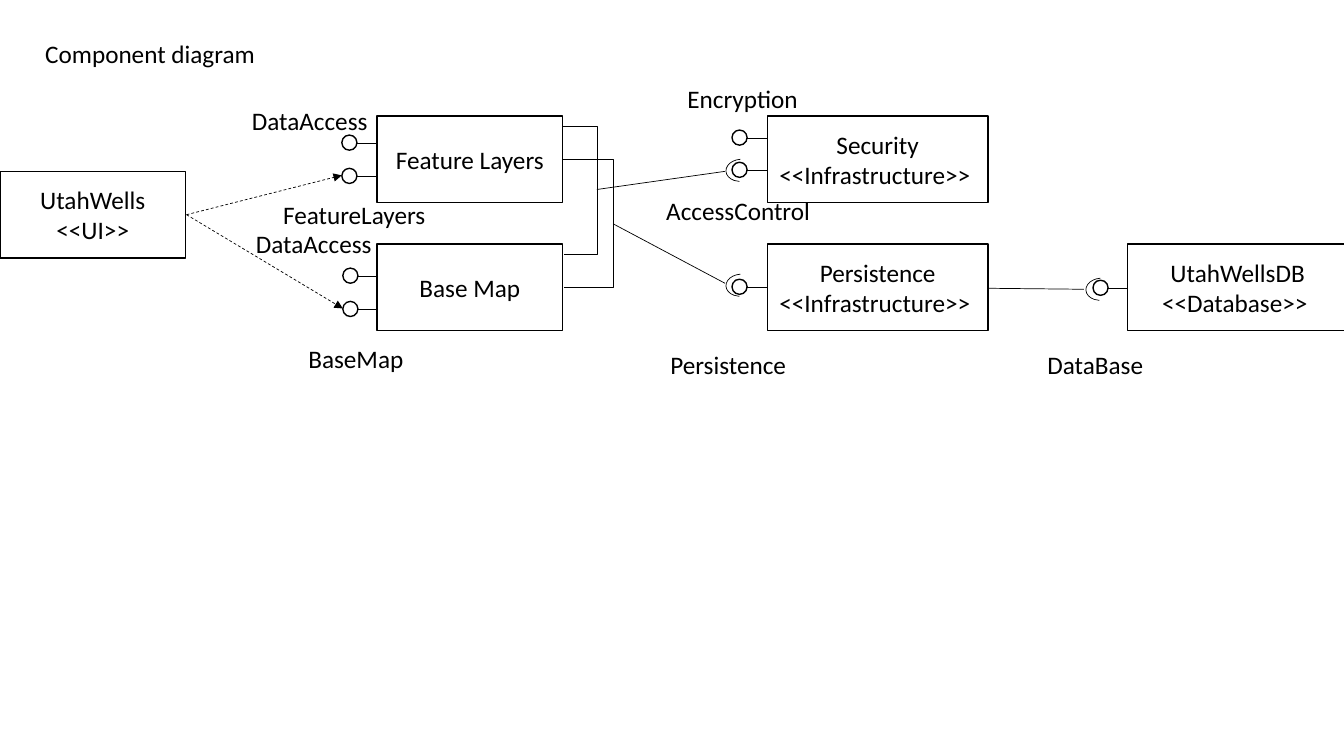
from lxml.etree import SubElement
from pptx import Presentation
from pptx.dml.color import RGBColor
from pptx.enum.dml import MSO_LINE as Dash
from pptx.enum.shapes import MSO_CONNECTOR as Link, MSO_SHAPE as Kind
from pptx.enum.text import MSO_ANCHOR as Anchor, MSO_AUTO_SIZE as Auto, PP_ALIGN as Align
from pptx.oxml.ns import qn
from pptx.util import Pt

SCALE = 9144
INK = "000000"
FONT = {"name": "Calibri", "size": Pt(18)}
BOX = {"word_wrap": True, "vertical_anchor": Anchor.MIDDLE}
LABEL = {"word_wrap": False, "auto_size": Auto.SHAPE_TO_FIT_TEXT}
ROW_TOP, ROW_LOW = 115, 242

BOXES = [
    ("UtahWells\n<<UI>>", 0, 170, 184),
    ("Feature Layers", 374, ROW_TOP, 184),
    ("Base Map", 374, ROW_LOW, 184),
    ("Security\n<<Infrastructure>> ", 761, ROW_TOP, 219),
    ("Persistence\n<<Infrastructure>> ", 761, ROW_LOW, 219),
    ("UtahWellsDB\n<<Database>> ", 1118, ROW_LOW, 219),
]
PORTS = [
    (339, 142), (339, 175), (340, 274), (340, 307),
    (726, 137), (726, 169), (726, 285), (1084, 286),
]
LABELS = [
    ("Component diagram", 35, 33, 231),
    ("DataAccess", 240, 100, 136),
    ("DataAccess", 244, 222, 136),
    ("FeatureLayers", 271, 193, 163),
    ("BaseMap", 296, 336, 115),
    ("Encryption", 672, 78, 136),
    ("AccessControl", 651, 189, 164),
    ("Persistence", 655, 342, 136),
    ("DataBase", 1029, 342, 116),
]
USES = [(185, 213, 339, 174), (185, 213, 340, 306)]
WIRES = [(719, 281, 608, 222), (592, 188, 719, 170), (1075, 287, 980, 286)]
BENDS = [(158, 51), (125, 35)]
SOCKETS = [(724, 154), (724, 268), (1081, 272)]


def px(*sizes):
    """Turn whole pixels into EMU."""
    return [size * SCALE for size in sizes]


def color(code):
    """Turn a hex string into a colour."""
    return RGBColor.from_string(code)


def style(item, values):
    """Set each attribute of the item from a dict."""
    for name, value in values.items():
        setattr(item, name, value)


def ink(line, width):
    """Give a line its colour and width."""
    line.color.rgb = color(INK)
    line.width = Pt(width)


def write(frame, text, align, values):
    """Fill a text frame and format its paragraphs."""
    style(frame, values)
    frame.text = text
    for para in frame.paragraphs:
        para.alignment = align
        for run in para.runs:
            style(run.font, FONT)
            run.font.color.rgb = color(INK)


def shape(shapes, kind, place, width):
    """Add an outlined shape without fill."""
    item = shapes.add_shape(kind, *px(*place))
    item.shadow.inherit = False
    item.fill.background()
    ink(item.line, width)
    return item


def wire(shapes, ends, kind=Link.STRAIGHT):
    """Add a thin connector."""
    item = shapes.add_connector(kind, *px(*ends))
    ink(item.line, 0.5)
    SubElement(item._element.spPr, qn("a:effectLst"))
    return item


def box(shapes, text, left, top, width):
    """Add a component box."""
    item = shape(shapes, Kind.RECTANGLE, (left, top, width, 86), 1)
    write(item.text_frame, text, Align.CENTER, BOX)


def label(shapes, text, left, top, width):
    """Add a one-line label."""
    item = shapes.add_textbox(*px(left, top, width, 40))
    write(item.text_frame, text, Align.LEFT, LABEL)


def port(shapes, left, mid):
    """Add a grouped interface ball with its stem."""
    group = shapes.add_group_shape().shapes
    wire(group, (left + 35, mid, left + 14, mid))
    shape(group, Kind.OVAL, (left, mid - 8, 15, 15), 1)


def use(shapes, ends):
    """Add a dashed arrow."""
    line = wire(shapes, ends).line
    line.dash_style = Dash.DASH
    SubElement(line._get_or_add_ln(), qn("a:tailEnd"), type="triangle")


def bend(shapes, top, reach):
    """Add a bracket that joins the two middle boxes."""
    item = wire(shapes, (558, top, 559, top + ROW_LOW - ROW_TOP), Link.ELBOW)
    guides = item._element.spPr.find(qn("a:prstGeom")).find(qn("a:avLst"))
    SubElement(guides, qn("a:gd"), name="adj1", fmla=f"val {reach * 100000}")


def socket(shapes, left, top):
    """Add the half ring around an interface ball."""
    item = shape(shapes, Kind.ARC, (left, top, 22, 30), 0.5)
    item.rotation = 266.5
    item.adjustments[0] = 115.3
    item.adjustments[1] = 0


def main():
    """Build the component diagram."""
    deck = Presentation()
    deck.slide_width, deck.slide_height = px(1333, 750)
    shapes = deck.slides.add_slide(deck.slide_layouts[6]).shapes
    for item in BOXES:
        box(shapes, *item)
    for item in PORTS:
        port(shapes, *item)
    for item in LABELS:
        label(shapes, *item)
    for ends in USES:
        use(shapes, ends)
    for item in BENDS:
        bend(shapes, *item)
    for ends in WIRES:
        wire(shapes, ends)
    for item in SOCKETS:
        socket(shapes, *item)
    deck.save("out.pptx")


if __name__ == "__main__":
    main()
